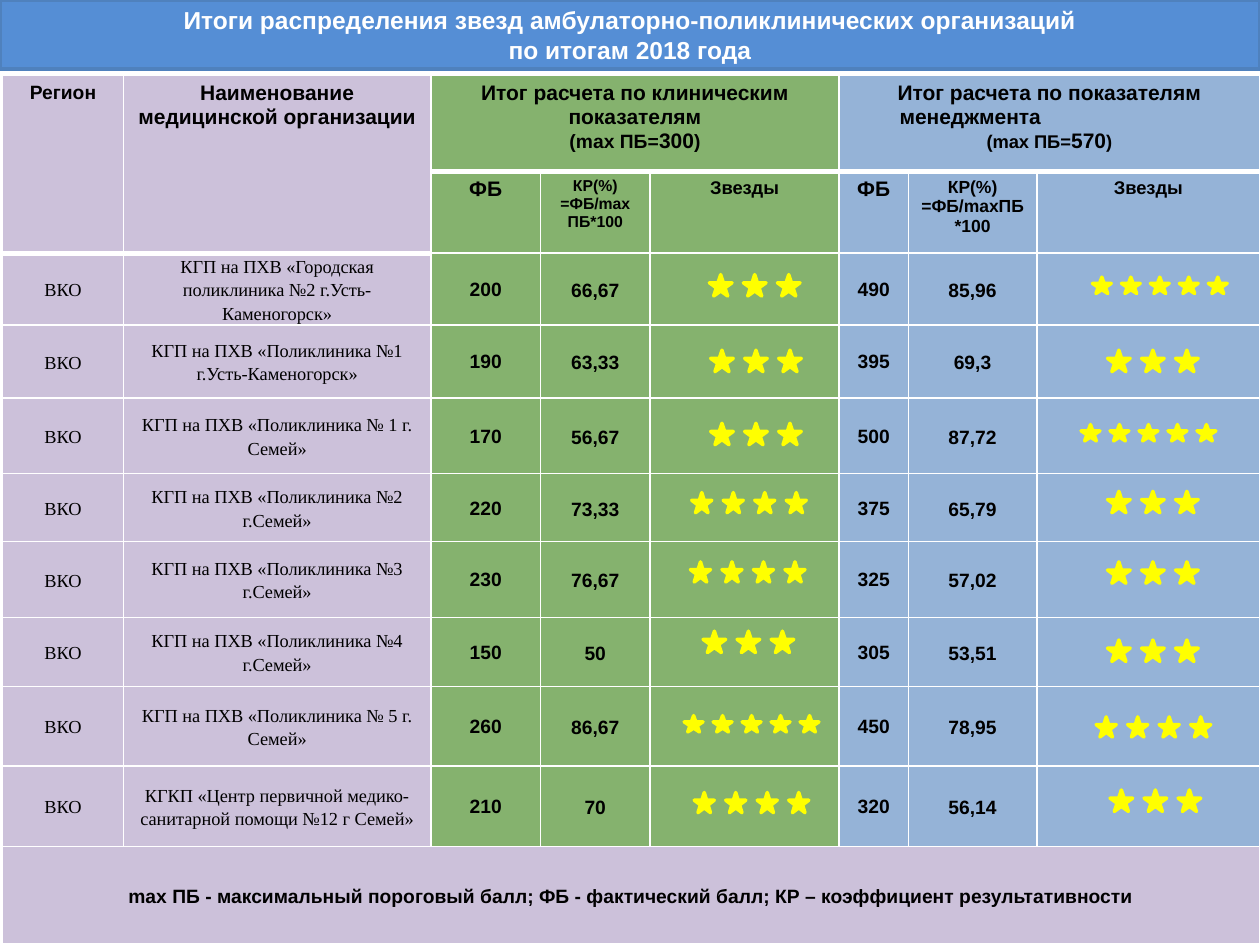
from dataclasses import dataclass

from lxml import etree
from pptx import Presentation
from pptx import util as u
from pptx.dml.color import RGBColor
from pptx.enum import shapes, text
from pptx.oxml import ns


@dataclass(frozen=True)
class Theme:
    title_fill: str = "558ED5"
    title_line: str = "4F81BD"
    lilac: str = "CCC1DA"
    green: str = "85B26E"
    blue: str = "95B3D7"
    star: str = "FFFF00"
    white: str = "FFFFFF"
    black: str = "000000"
    sans: str = "Arial"
    serif: str = "Times New Roman"
    title: float = 14
    heading: float = 12
    value: float = 11
    label: float = 10.5
    formula: float = 10
    small_formula: float = 9


THEME = Theme()
CENTER = text.PP_ALIGN.CENTER
MIDDLE = text.MSO_ANCHOR.MIDDLE
COLUMNS = [0.96, 2.44, 0.87, 0.87, 1.5, 0.55, 1.02, 1.77]
ROWS = [0.76, 0.65, 0.57, 0.58, 0.6, 0.54, 0.6, 0.55, 0.63, 0.64, 0.77]
COLUMN_FILLS = [THEME.lilac] * 2 + [THEME.green] * 3 + [THEME.blue] * 3
# Star count: (width, height, step)
STAR_SIZES = {3: (0.18, 0.17, 0.27), 4: (0.16, 0.16, 0.25), 5: (0.15, 0.13, 0.23)}
WIDE_INSETS = (0.07, 0, 0.07, 0)
TIGHT_INSETS = (0.01, 0.01, 0.01, 0)

# Row, column, last row, last column, paragraphs made of (text, size) pieces
HEADERS = [
    (0, 0, 1, 0, [[("Регион", THEME.value)]]),
    (0, 1, 1, 1, [[("Наименование медицинской организации", THEME.heading)]]),
    (0, 2, 0, 4, [[("Итог расчета по клиническим показателям", THEME.heading)],
                  [("(mах ПБ=", THEME.value), ("300", THEME.heading), (")", THEME.value)]]),
    (0, 5, 0, 7, [[("Итог расчета по показателям", THEME.heading)],
                  [("менеджмента", THEME.heading)],
                  [("(mах ПБ=", THEME.label), ("570", THEME.heading), (")", THEME.label)]]),
    (1, 2, 1, 2, [[("ФБ", THEME.heading)]]),
    (1, 3, 1, 3, [[("КР(%)", THEME.small_formula)],
                  [("=ФБ/mах ПБ*100", THEME.small_formula)]]),
    (1, 4, 1, 4, [[("Звезды", THEME.label)]]),
    (1, 5, 1, 5, [[("ФБ", THEME.heading)]]),
    (1, 6, 1, 6, [[("КР(%)", THEME.formula)], [("=ФБ/mахПБ *100", THEME.formula)]]),
    (1, 7, 1, 7, [[("Звезды", THEME.label)]]),
]

# Name, then for clinical and management results: score, ratio, (stars, left, top)
CLINICS = [
    ("КГП на ПХВ «Городская поликлиника №2 г.Усть-Каменогорск»",
     "200", "66,67", (3, 5.63, 2.18), "490", "85,96", (5, 8.67, 2.2)),
    ("КГП на ПХВ «Поликлиника №1 г.Усть-Каменогорск»",
     "190", "63,33", (3, 5.64, 2.78), "395", "69,3", (3, 8.79, 2.78)),
    ("КГП на ПХВ «Поликлиника № 1 г. Семей»",
     "170", "56,67", (3, 5.64, 3.36), "500", "87,72", (5, 8.58, 3.37)),
    ("КГП на ПХВ «Поликлиника №2 г.Семей»",
     "220", "73,33", (4, 5.49, 3.91), "375", "65,79", (3, 8.79, 3.9)),
    ("КГП на ПХВ «Поликлиника №3 г.Семей»",
     "230", "76,67", (4, 5.48, 4.46), "325", "57,02", (3, 8.79, 4.46)),
    ("КГП на ПХВ «Поликлиника №4 г.Семей»",
     "150", "50", (3, 5.58, 5.01), "305", "53,51", (3, 8.79, 5.08)),
    ("КГП на ПХВ «Поликлиника № 5 г. Семей»",
     "260", "86,67", (5, 5.43, 5.68), "450", "78,95", (4, 8.7, 5.69)),
    ("КГКП «Центр первичной медико- санитарной помощи №12 г Семей»",
     "210", "70", (4, 5.51, 6.29), "320", "56,14", (3, 8.81, 6.27)),
]


class SlideBuilder:
    def __init__(self, slide, theme):
        self.slide = slide
        self.theme = theme

    def add_text(self, paragraph, pieces, color, font=None, bold=True, spacing=1.0):
        paragraph.alignment = CENTER
        paragraph.line_spacing = spacing
        for content, size in pieces:
            run = paragraph.add_run()
            run.text = content
            run.font.color.rgb = RGBColor.from_string(color)
            values = {"size": u.Pt(size), "name": font or self.theme.sans, "bold": bold}
            for name, value in values.items():
                setattr(run.font, name, value)

    def paint(self, shape, fill, line):
        shape.shadow.inherit = False
        shape.fill.solid()
        shape.fill.fore_color.rgb = RGBColor.from_string(fill)
        shape.line.color.rgb = RGBColor.from_string(line)
        shape.line.width = u.Pt(2)

    def title(self, lines, width, height):
        shape = self.slide.shapes.add_shape(
            shapes.MSO_SHAPE.RECTANGLE, 0, 0, u.Inches(width), u.Inches(height))
        self.paint(shape, self.theme.title_fill, self.theme.title_line)
        frame = shape.text_frame
        frame.word_wrap = True
        frame.vertical_anchor = MIDDLE
        paragraph = frame.paragraphs[0]
        for index, line in enumerate(lines):
            if index:
                paragraph.add_line_break()
            self.add_text(paragraph, [(line, self.theme.title)], self.theme.white)

    def border(self, cell, bottom_width):
        properties = cell._tc.get_or_add_tcPr()
        for index, side in enumerate("LRTB"):
            width = bottom_width if side == "B" else 1
            line = etree.Element(ns.qn(f"a:ln{side}"), w=str(u.Pt(width)))
            fill = etree.SubElement(line, ns.qn("a:solidFill"))
            etree.SubElement(fill, ns.qn("a:srgbClr"), val=self.theme.white)
            properties.insert(index, line)

    def grid(self, left, top, columns, rows, fills):
        """Add a table with its column fills and white borders."""
        table = self.slide.shapes.add_table(
            len(rows), len(columns), u.Inches(left), u.Inches(top),
            u.Inches(sum(columns)), u.Inches(sum(rows))).table
        table.first_row = table.horz_banding = False
        for column, width in zip(table.columns, columns):
            column.width = u.Inches(width)
        for index, (row, height) in enumerate(zip(table.rows, rows)):
            row.height = u.Inches(height)
            for cell, fill in zip(row.cells, fills):
                cell.fill.solid()
                cell.fill.fore_color.rgb = RGBColor.from_string(fill)
                self.border(cell, 3 if index == 0 else 1)
        return table

    def header(self, cell, paragraphs):
        frame = cell.text_frame
        for index, pieces in enumerate(paragraphs):
            paragraph = frame.add_paragraph() if index else frame.paragraphs[0]
            self.add_text(paragraph, pieces, self.theme.black)

    def body(self, cell, content, size, insets=WIDE_INSETS, spacing=1.15, **style):
        cell.vertical_anchor = MIDDLE
        for side, inset in zip(("left", "top", "right", "bottom"), insets):
            setattr(cell, f"margin_{side}", u.Inches(inset))
        self.add_text(cell.text_frame.paragraphs[0], [(content, size)],
                      self.theme.black, spacing=spacing, **style)

    def stars(self, count, left, top):
        width, height, step = STAR_SIZES[count]
        group = self.slide.shapes.add_group_shape()
        for index in range(count):
            star = group.shapes.add_shape(
                shapes.MSO_SHAPE.STAR_5_POINT, u.Inches(left + index * step),
                u.Inches(top), u.Inches(width), u.Inches(height))
            self.paint(star, self.theme.star, self.theme.star)


def main():
    presentation = Presentation()
    presentation.slide_width = u.Inches(10)
    presentation.slide_height = u.Inches(7.5)
    slide = presentation.slides.add_slide(presentation.slide_layouts[6])
    builder = SlideBuilder(slide, THEME)
    builder.title(["Итоги распределения звезд амбулаторно-поликлинических организаций",
                   "по итогам 2018 года"], 10, 0.55)

    table = builder.grid(0.02, 0.6, COLUMNS, ROWS, COLUMN_FILLS)
    for row, column, last_row, last_column, paragraphs in HEADERS:
        cell = table.cell(row, column)
        if (row, column) != (last_row, last_column):
            cell.merge(table.cell(last_row, last_column))
        builder.header(cell, paragraphs)
    management = table.cell(0, 5).text_frame.paragraphs[1]
    management.alignment = text.PP_ALIGN.LEFT
    management._p.get_or_add_pPr().set("marL", str(u.Inches(0.38)))

    serif = {"font": THEME.serif, "bold": False}
    for row, (name, *results) in enumerate(CLINICS, start=2):
        builder.body(table.cell(row, 0), "ВКО", THEME.label, **serif)
        builder.body(table.cell(row, 1), name, THEME.label, **serif)
        for column, (score, ratio, rating) in ((2, results[:3]), (5, results[3:])):
            builder.body(table.cell(row, column), score, THEME.value, TIGHT_INSETS, 1.0)
            builder.body(table.cell(row, column + 1), ratio, THEME.value)
            builder.stars(*rating)

    footer = table.cell(len(ROWS) - 1, 0)
    footer.merge(table.cell(len(ROWS) - 1, len(COLUMNS) - 1))
    builder.body(footer, "mах ПБ - максимальный пороговый балл; ФБ - фактический балл; "
                 "КР – коэффициент результативности", THEME.value)
    presentation.save("out.pptx")


if __name__ == "__main__":
    main()
